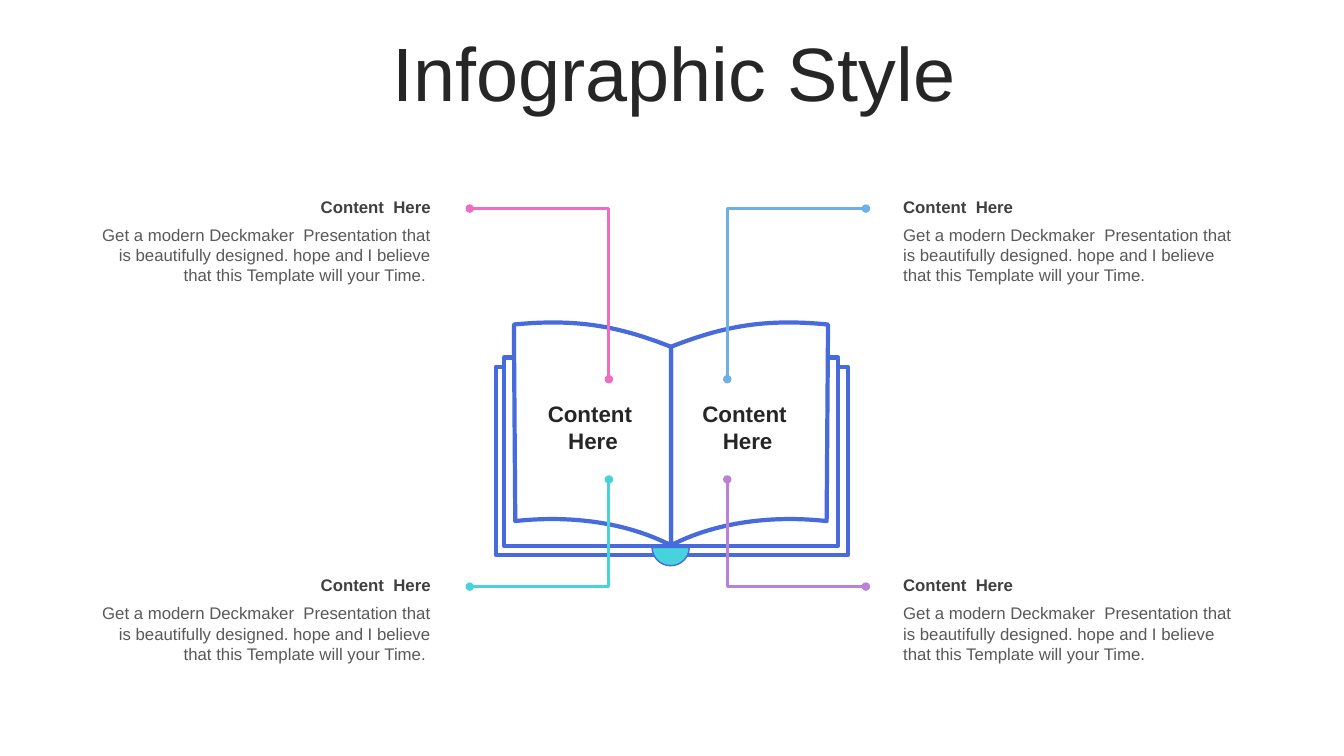
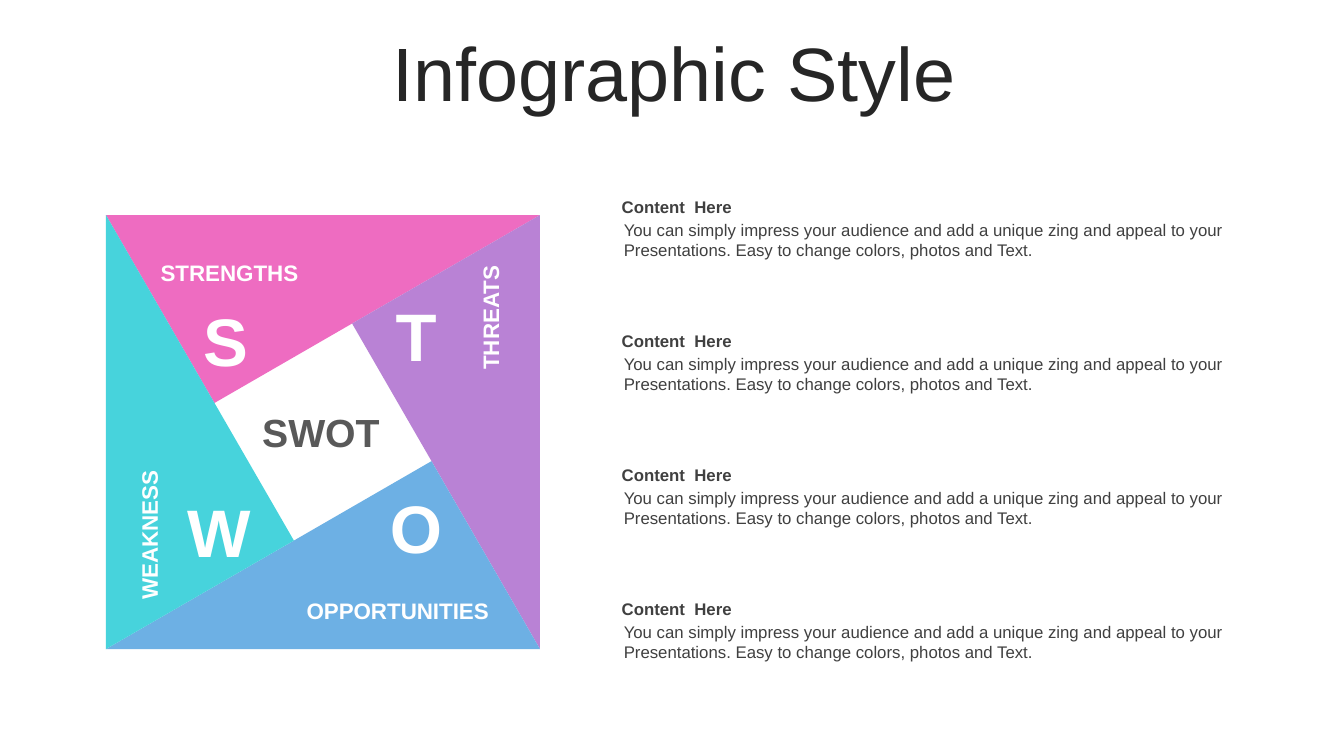
import math
from dataclasses import dataclass

import pptx
import pptx.dml.color
import pptx.enum.shapes
import pptx.enum.text
import pptx.oxml
import pptx.oxml.ns
import pptx.util
from pptx.util import Pt

SHAPES = pptx.enum.shapes.MSO_SHAPE
ALIGN = pptx.enum.text.PP_ALIGN
ANCHOR = pptx.enum.text.MSO_ANCHOR


@dataclass(frozen=True)
class Theme:
    font: str = "Arial"
    ink: str = "262626"
    heading_ink: str = "404040"
    muted_ink: str = "595959"
    white: str = "FFFFFF"
    outline: str = "476ADD"
    pink: str = "EE6CC1"
    purple: str = "B982D5"
    blue: str = "6DB0E4"
    teal: str = "47D3DC"
    title_size: int = 54
    letter_size: int = 48
    center_size: int = 28
    label_size: int = 16
    text_size: int = 12


def rgb(color):
    return pptx.dml.color.RGBColor.from_string(color)


def set_all(target, values):
    for name, value in values.items():
        setattr(target, name, value)


class Deck:
    def __init__(self, theme):
        self.theme = theme
        self.deck = pptx.Presentation()
        set_all(self.deck, {"slide_width": Pt(960), "slide_height": Pt(540)})
        self.page = None

    def new_page(self, title):
        self.page = self.deck.slides.add_slide(self.deck.slide_layouts[6])
        box = self.text(title, (25.5, 26.5, 912, 57), self.theme.title_size, self.theme.ink,
                        align=ALIGN.CENTER, anchor=ANCHOR.MIDDLE, grow=False)
        para = box.text_frame.paragraphs[0]
        para.line_spacing = 0.9
        para.runs[0]._r.get_or_add_rPr().set("kern", "1200")

    def text(self, words, area, size, color, bold=False, align=ALIGN.LEFT,
             anchor=ANCHOR.TOP, left_inset=7.2, rotation=0, grow=True):
        box = self.page.shapes.add_textbox(*map(Pt, area))
        box.rotation = rotation
        fit = pptx.enum.text.MSO_AUTO_SIZE
        set_all(box.text_frame, {
            "word_wrap": True, "vertical_anchor": anchor, "margin_left": Pt(left_inset),
            "auto_size": fit.SHAPE_TO_FIT_TEXT if grow else fit.NONE,
        })
        para = box.text_frame.paragraphs[0]
        para.alignment = align
        span = para.add_run()
        span.text = words
        set_all(span.font, {"name": self.theme.font, "size": Pt(size), "bold": bold})
        span.font.color.rgb = rgb(color)
        return box

    def paint(self, shape, fill, line=None, width=0):
        shape.shadow.inherit = False
        shape.fill.solid()
        shape.fill.fore_color.rgb = rgb(fill)
        if line:
            shape.line.color.rgb = rgb(line)
            shape.line.width = Pt(width)
        else:
            shape.line.fill.background()

    def shape(self, kind, area, fill, line=None, width=0, rotation=0):
        shape = self.page.shapes.add_shape(kind, *map(Pt, area))
        shape.rotation = rotation
        self.paint(shape, fill, line, width)

    def outline(self, start, segments, fill, line, width):
        """Closed outline; a segment of one point is a line, one of three a cubic curve."""
        builder = self.page.shapes.build_freeform(*map(Pt, start))
        corners = [(Pt(x), Pt(y)) for segment in segments for x, y in segment]
        builder.add_line_segments(corners, close=True)
        shape = builder.convert_to_shape()
        qn = pptx.oxml.ns.qn
        steps = iter(list(shape.element.iter(qn("a:lnTo"))))
        for segment in segments:
            first, *others = [next(steps) for _ in segment]
            if others:
                first.tag = qn("a:cubicBezTo")
                for other in others:
                    first.append(other[0])
                    other.getparent().remove(other)
        self.paint(shape, fill, line, width)

    def elbow(self, start, end, color):
        """Line that runs level from start, then upright to end, with a dot at each end."""
        kind = pptx.enum.shapes.MSO_CONNECTOR.ELBOW
        connector = self.page.shapes.add_connector(kind, *map(Pt, start + end))
        connector.line.width = Pt(2)
        connector.line.color.rgb = rgb(color)
        qn = pptx.oxml.ns.qn
        properties = connector.element.spPr
        guides = properties.find(qn("a:prstGeom")).get_or_add_avLst()
        guide = guides.makeelement(qn("a:gd"), {"name": "adj1", "fmla": "val 100000"})
        guides.append(guide)
        line = properties.find(qn("a:ln"))
        for tag in ("a:headEnd", "a:tailEnd"):
            line.append(line.makeelement(qn(tag), {"type": "oval"}))
        properties.append(properties.makeelement(qn("a:effectLst"), {}))

    def entry(self, heading, body, area, body_shift, body_height, body_color, **style):
        """Bold heading with a text below it; body_shift is the offset from the heading."""
        left, top, width, height = area
        shift_x, shift_y = body_shift
        size = self.theme.text_size
        self.text(heading, area, size, self.theme.heading_ink, bold=True,
                  anchor=ANCHOR.MIDDLE, **style)
        self.text(body, (left + shift_x, top + shift_y, width - shift_x, body_height),
                  size, body_color, **style)


def draw_book(deck):
    theme = deck.theme
    spine = 479.3
    for area in ((354.2, 262, 251.3, 134.6), (360, 255.4, 238.7, 134.6)):
        deck.shape(SHAPES.RECTANGLE, area, theme.white, theme.outline, 3)
    leaf = (
        ((38.4, 232.6), (68, 227.5), (112.2, 231.8)),
        ((111.2, 372.2),),
        ((72, 367.9), (31.9, 373), (0, 389.5)),
        ((0, 247.7),),
    )
    for side in (1, -1):
        segments = [[(spine + side * x, y) for x, y in segment] for segment in leaf]
        deck.outline((spine, 247.7), segments, theme.white, theme.outline, 3)
    clasp = (
        ((492.4, 391),),
        ((492.4, 398.2), (486.4, 404.1), (479.1, 404.1)),
        ((471.8, 404.1), (465.8, 398.2), (465.8, 391)),
    )
    deck.outline((465.8, 391), clasp, theme.teal, theme.outline, 1)


def book_page(deck):
    theme = deck.theme
    deck.new_page("Infographic Style")
    draw_book(deck)
    body = ("Get a modern Deckmaker  Presentation that is beautifully designed. "
            "hope and I believe that this Template will your Time.")
    # text left, outer dot, inner dot, page label left, alignment, end of text, colours
    sides = (
        (63.5, 335.5, 434.9, 381.1, ALIGN.RIGHT, " ", (theme.pink, theme.teal)),
        (645.1, 618.5, 519.5, 491.5, ALIGN.LEFT, "", (theme.blue, theme.purple)),
    )
    rows = ((136.8, 149, 270.9), (407, 419, 342.5))
    for left, outer, inner, label, align, ending, colors in sides:
        for (top, outer_y, inner_y), color in zip(rows, colors):
            deck.entry("Content  Here", body + ending, (left, top, 251.3, 21.6),
                       (0, 20.2), 51, theme.muted_ink, align=align, left_inset=0)
            deck.elbow((outer, outer_y), (inner, inner_y), color)
        deck.text("Content  Here", (label, 282, 85, 46), theme.label_size, theme.ink,
                  bold=True, align=ALIGN.CENTER, anchor=ANCHOR.MIDDLE)


def draw_pinwheel(deck, center_x, center_y, side):
    """Square made of four right triangles, each turned a quarter from the last."""
    theme = deck.theme
    width, height = side * math.cos(math.radians(30)), side / 2
    for turn, color in enumerate((theme.pink, theme.purple, theme.blue, theme.teal)):
        angle = math.radians(90 * turn)
        left = center_x + height * math.sin(angle) - width / 2
        top = center_y - height * math.cos(angle) - height / 2
        deck.shape(SHAPES.RIGHT_TRIANGLE, (left, top, width, height), color,
                   rotation=(330 + 90 * turn) % 360)


def swot_page(deck):
    theme = deck.theme
    deck.new_page("Infographic Style")
    draw_pinwheel(deck, 230.7, 308.6, 310)
    letters = (("S", 132.6, 209.5), ("W", 126.5, 346.3),
               ("O", 268.7, 343.4), ("T", 268.7, 205.9))
    for letter, left, top in letters:
        deck.text(letter, (left, top, 57, 65.5), theme.letter_size, theme.white,
                  bold=True, align=ALIGN.CENTER, anchor=ANCHOR.MIDDLE)
    labels = (
        ("STRENGTHS", 107.6, 181.4, 162, ALIGN.LEFT, 0),
        ("WEAKNESS", 41, 356.4, 131, ALIGN.LEFT, 270),
        ("OPPORTUNITIES", 200.2, 423, 156.2, ALIGN.RIGHT, 0),
        ("THREATS", 288, 231.8, 124.6, ALIGN.RIGHT, 270),
    )
    for label, left, top, width, align, rotation in labels:
        deck.text(label, (left, top, width, 26.6), theme.label_size, theme.white,
                  bold=True, align=align, rotation=rotation)
    deck.text("SWOT", (177.4, 288, 103.7, 41), theme.center_size, theme.muted_ink,
              bold=True, align=ALIGN.CENTER)
    body = ("You can simply impress your audience and add a unique zing and appeal to your "
            "Presentations. Easy to change colors, photos and Text.")
    for row in range(4):
        deck.entry("Content  Here", body, (437, 136.8 + 95.8 * row, 447.8, 21.6),
                   (1.5, 16.5), 36, theme.heading_ink)


def main():
    deck = Deck(Theme())
    book_page(deck)
    swot_page(deck)
    deck.deck.save("out.pptx")


if __name__ == "__main__":
    main()
